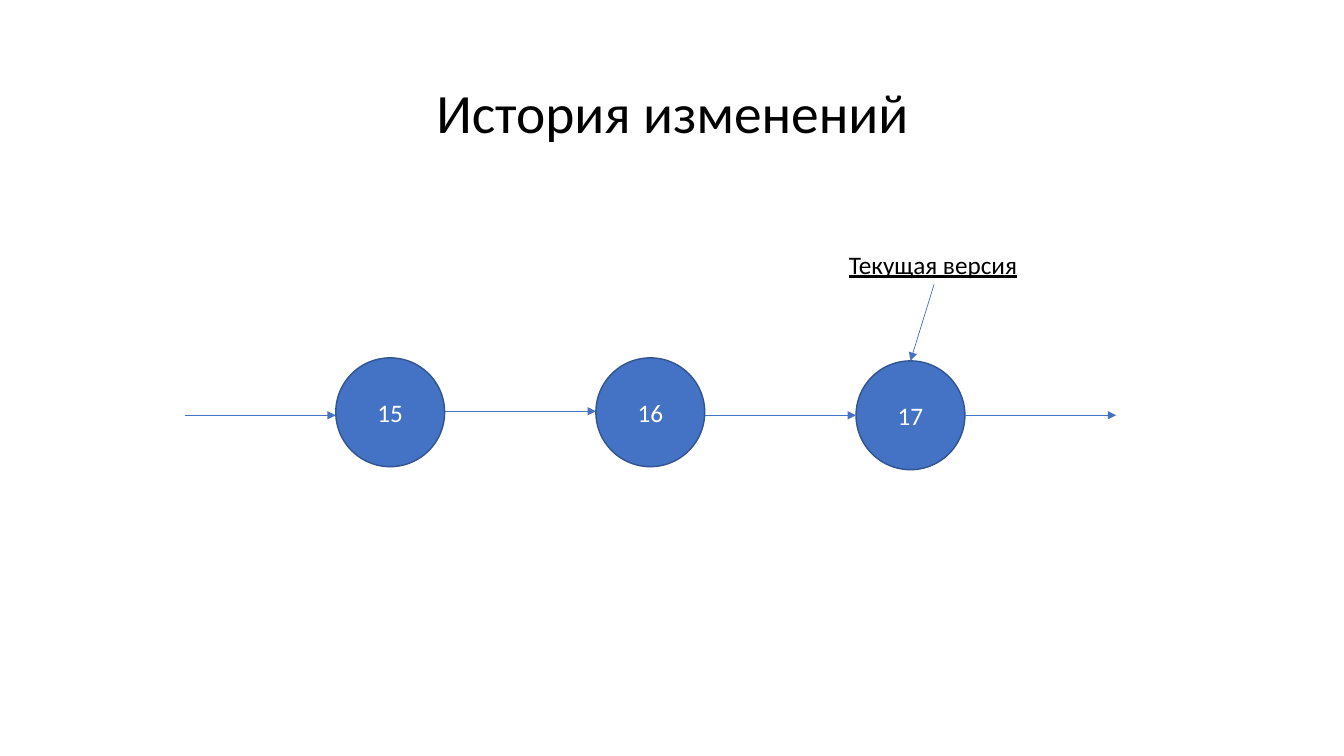
from pptx import Presentation
from pptx.dml.color import RGBColor
from pptx.enum.shapes import MSO_CONNECTOR as Connector, MSO_SHAPE as Shape
from pptx.enum.text import MSO_ANCHOR as Anchor, MSO_AUTO_SIZE as AutoSize, PP_ALIGN as Align
from pptx.oxml.ns import qn
from pptx.util import Inches, Pt
from lxml.etree import SubElement

BLUE = RGBColor(0x44, 0x72, 0xC4)
DARK_BLUE = RGBColor(0x32, 0x54, 0x91)
BLACK = RGBColor(0, 0, 0)
WHITE = RGBColor(255, 255, 255)
FONT = "Calibri"

# Version chain grid: arrow, circle, arrow, circle, ...
DIAMETER = 1.08
GAP = 1.5
PITCH = DIAMETER + GAP
# Version and how far its circle sits below the top of the chain
VERSIONS = [("15", 0), ("16", 0), ("17", 0.03)]
# Height of each arrow below the top of the chain
ARROW_DROPS = [0.57, 0.53, 0.57, 0.57]


def add_text(frame, text, size, color, align, underline=None):
    paragraph = frame.paragraphs[0]
    paragraph.alignment = align
    run = paragraph.add_run()
    run.text = text
    run.font.name = FONT
    run.font.size = Pt(size)
    run.font.color.rgb = color
    run.font.underline = underline
    return paragraph


def add_arrow(slide, x1, y1, x2, y2):
    arrow = slide.shapes.add_connector(
        Connector.STRAIGHT, Inches(x1), Inches(y1), Inches(x2), Inches(y2))
    arrow.line.color.rgb = BLUE
    arrow.line.width = Pt(0.5)
    SubElement(arrow.line._get_or_add_ln(), qn("a:tailEnd"), type="triangle")
    SubElement(arrow._element.spPr, qn("a:effectLst"))
    return arrow


def add_title(slide, left, top, width, height):
    title = slide.shapes.title
    title.left, title.top = Inches(left), Inches(top)
    title.width, title.height = Inches(width), Inches(height)
    title.text_frame.vertical_anchor = Anchor.MIDDLE
    paragraph = add_text(title.text_frame, "История изменений", 39.6, BLACK, Align.CENTER)
    paragraph.line_spacing = 0.9


def add_version(slide, left, top, number):
    circle = slide.shapes.add_shape(
        Shape.OVAL, Inches(left), Inches(top), Inches(DIAMETER), Inches(DIAMETER))
    circle.shadow.inherit = False
    circle.fill.solid()
    circle.fill.fore_color.rgb = BLUE
    circle.line.color.rgb = DARK_BLUE
    circle.line.width = Pt(1)
    circle.text_frame.vertical_anchor = Anchor.MIDDLE
    add_text(circle.text_frame, number, 18, WHITE, Align.CENTER)
    return circle


def add_version_chain(slide, left, top):
    """Draws the chain and returns the circle of the latest version."""
    circles = [add_version(slide, left + GAP + column * PITCH, top + drop, number)
               for column, (number, drop) in enumerate(VERSIONS)]
    for column, drop in enumerate(ARROW_DROPS):
        start = left + column * PITCH
        add_arrow(slide, start, top + drop, start + GAP, top + drop)
    return circles[-1]


def add_current_label(slide, left, top, width, height, circle):
    label = slide.shapes.add_textbox(
        Inches(left), Inches(top), Inches(width), Inches(height))
    label.text_frame.word_wrap = False
    label.text_frame.auto_size = AutoSize.SHAPE_TO_FIT_TEXT
    add_text(label.text_frame, "Текущая версия", 18, BLACK, Align.LEFT, underline=True)
    # Pointer from the label's bottom to the circle's top
    pointer = add_arrow(slide, left, top, left + width, top + height)
    pointer.begin_connect(label, 2)
    pointer.end_connect(circle, 0)


def main():
    presentation = Presentation()
    presentation.slide_width = Inches(13.33)
    presentation.slide_height = Inches(7.5)
    slide = presentation.slides.add_slide(presentation.slide_layouts[5])
    add_title(slide, 0.92, 0.77, 11.5, 0.75)
    current = add_version_chain(slide, 1.83, 3.55)
    add_current_label(slide, 8.32, 2.42, 1.89, 0.4, current)
    presentation.save("out.pptx")


if __name__ == "__main__":
    main()
